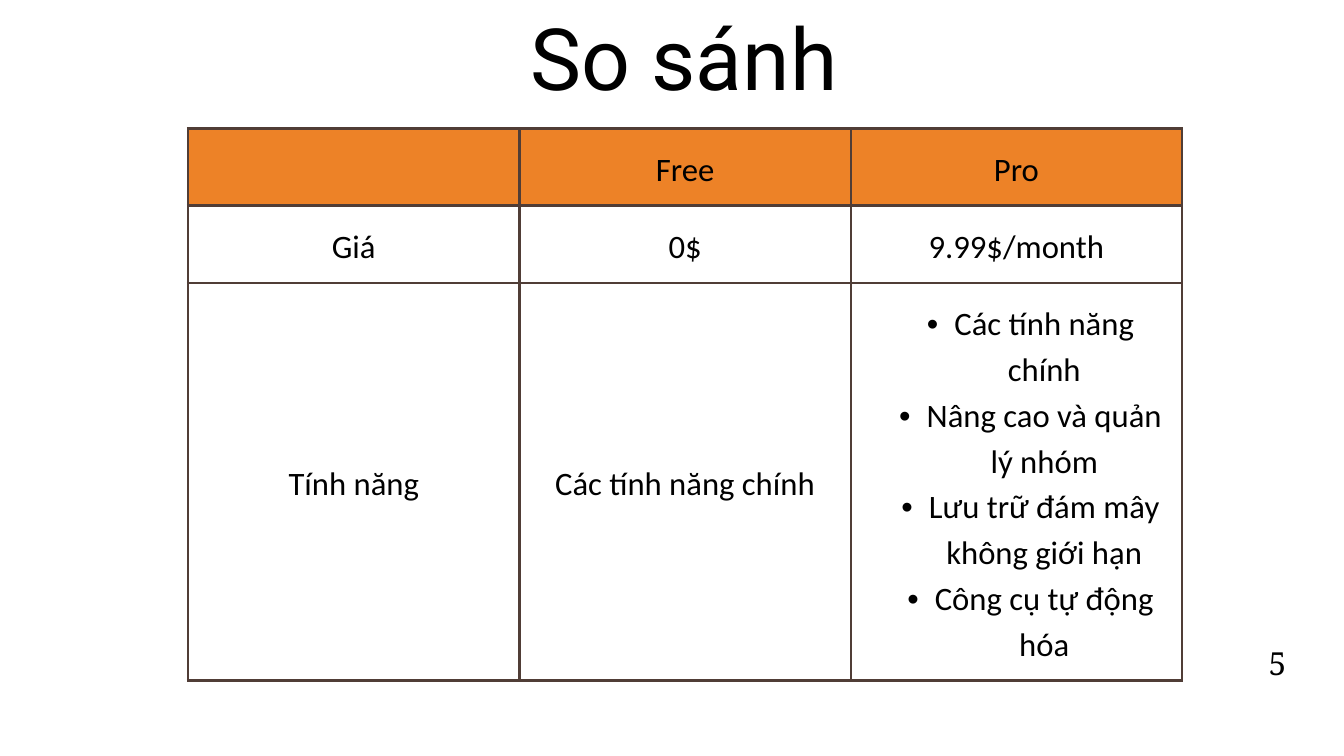
from dataclasses import dataclass
from typing import Optional

from lxml.etree import SubElement as Sub
from pptx import Presentation
from pptx.dml.color import RGBColor as RGB
from pptx.enum.text import MSO_ANCHOR as Anchor, MSO_AUTO_SIZE as Auto, PP_ALIGN as Align
from pptx.oxml.ns import qn
from pptx.util import Inches, Pt

BLACK = RGB(0, 0, 0)
ORANGE = RGB(0xED, 0x82, 0x27)
BROWN = RGB(0x50, 0x3D, 0x36)
PAD = Inches(0.21)
COL = 4.93
ROWS = (1.15, 1.15, 5.92)


@dataclass
class Cell:
    text: str = ""
    fill: Optional[RGB] = None
    dots: bool = False


GRID = (
    (Cell(fill=ORANGE), Cell("Free", ORANGE), Cell("Pro", ORANGE)),
    (Cell("Giá"), Cell("0$"), Cell("9.99$/month")),
    (
        Cell("Tính năng"),
        Cell("Các tính năng chính"),
        Cell(
            "Các tính năng chính\nNâng cao và quản lý nhóm\n"
            "Lưu trữ đám mây không giới hạn\nCông cụ tự động hóa",
            dots=True,
        ),
    ),
)


def add_dot(par) -> None:
    props = par._p.get_or_add_pPr()
    props.set("lvl", "1")
    props.set("marL", str(Inches(0.83)))
    props.set("indent", str(Inches(-0.41)))
    Sub(props, qn("a:buFont"), typeface="Arial")
    Sub(props, qn("a:buChar"), char="•")


def put_text(frame, text: str, *, font="Calibri", size=35.0, lead=49.0, pad=0,
             anchor=Anchor.TOP, dots=False) -> None:
    frame.word_wrap = True
    frame.vertical_anchor = anchor
    frame.margin_left = frame.margin_right = pad
    frame.margin_top = frame.margin_bottom = pad
    for i, line in enumerate(text.split("\n")):
        par = frame.add_paragraph() if i else frame.paragraphs[0]
        if dots:
            add_dot(par)
        par.alignment = Align.CENTER
        par.line_spacing = Pt(lead)
        par.space_before = Pt(0)
        run = par.add_run()
        run.text = line
        run.font.name = font
        run.font.size = Pt(size)
        run.font.color.rgb = BLACK


def add_edges(cell) -> None:
    props = cell._tc.get_or_add_tcPr()
    for side in ("lnL", "lnR", "lnT", "lnB"):
        line = Sub(props, qn(f"a:{side}"), w=str(Pt(3)))
        Sub(Sub(line, qn("a:solidFill")), qn("a:srgbClr"), val=str(BROWN))


def draw_cell(cell, item: Cell) -> None:
    add_edges(cell)
    if item.fill is None:
        cell.fill.background()
    else:
        cell.fill.solid()
        cell.fill.fore_color.rgb = item.fill
    cell.vertical_anchor = Anchor.MIDDLE
    cell.margin_left = cell.margin_right = PAD
    cell.margin_top = cell.margin_bottom = PAD
    if item.text:
        put_text(cell.text_frame, item.text, pad=PAD, dots=item.dots)


def draw_table(slide) -> None:
    table = slide.shapes.add_table(
        len(ROWS), len(GRID[0]), Inches(2.8), Inches(1.91),
        Inches(COL * len(GRID[0])), Inches(sum(ROWS)),
    ).table
    table.first_row = table.horz_banding = False
    for col in table.columns:
        col.width = Inches(COL)
    for r, (high, items) in enumerate(zip(ROWS, GRID)):
        table.rows[r].height = Inches(high)
        for c, item in enumerate(items):
            draw_cell(table.cell(r, c), item)


def main() -> None:
    deck = Presentation()
    deck.slide_width, deck.slide_height = Inches(20), Inches(11.25)
    slide = deck.slides.add_slide(deck.slide_layouts[5])
    draw_table(slide)

    title = slide.shapes.title
    title.left, title.top = Inches(3.33), Inches(-0.19)
    title.width, title.height = Inches(13.7), Inches(1.71)
    title.text_frame.auto_size = Auto.NONE
    put_text(title.text_frame, "So sánh", font="Roboto", size=92, lead=128.8)

    page = slide.shapes.add_textbox(Inches(18.88), Inches(9.49), Inches(0.26), Inches(0.63))
    put_text(page.text_frame, "5", font="Noto Serif", size=34, lead=47.6)
    deck.save("out.pptx")


if __name__ == "__main__":
    main()
